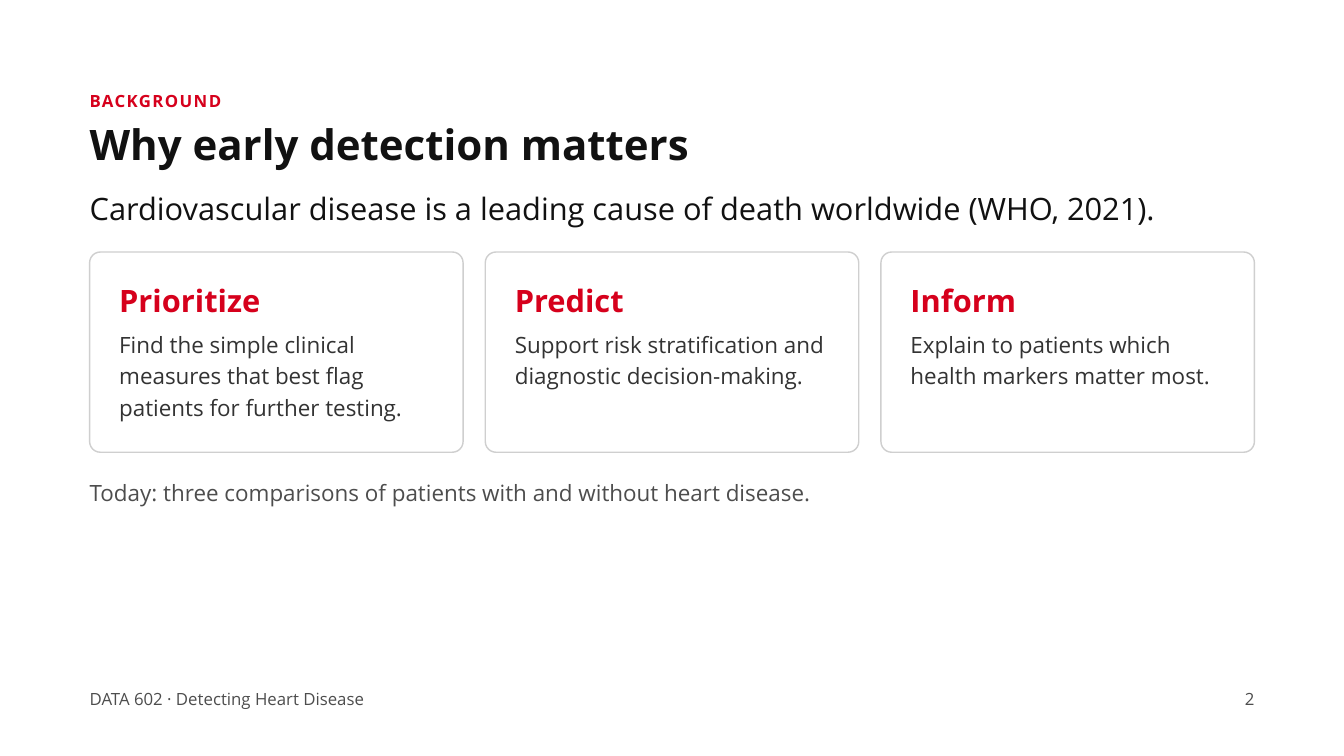
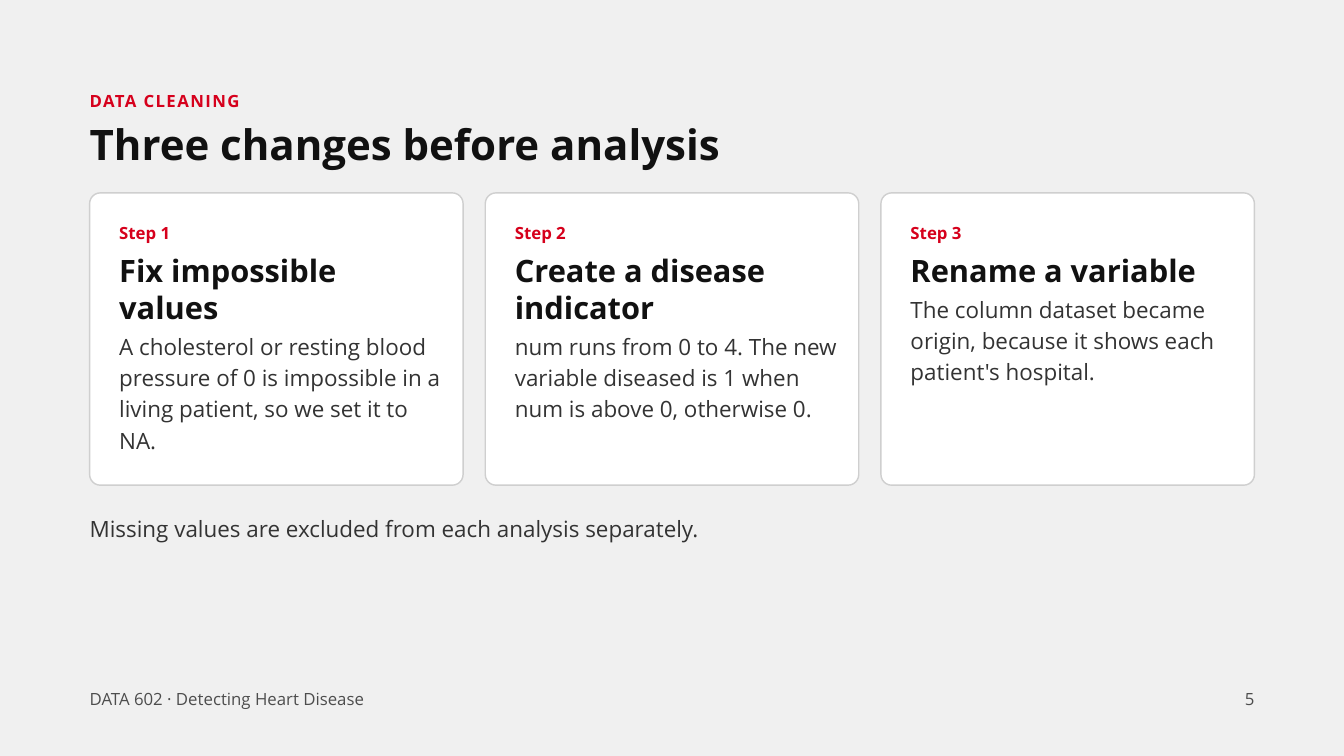
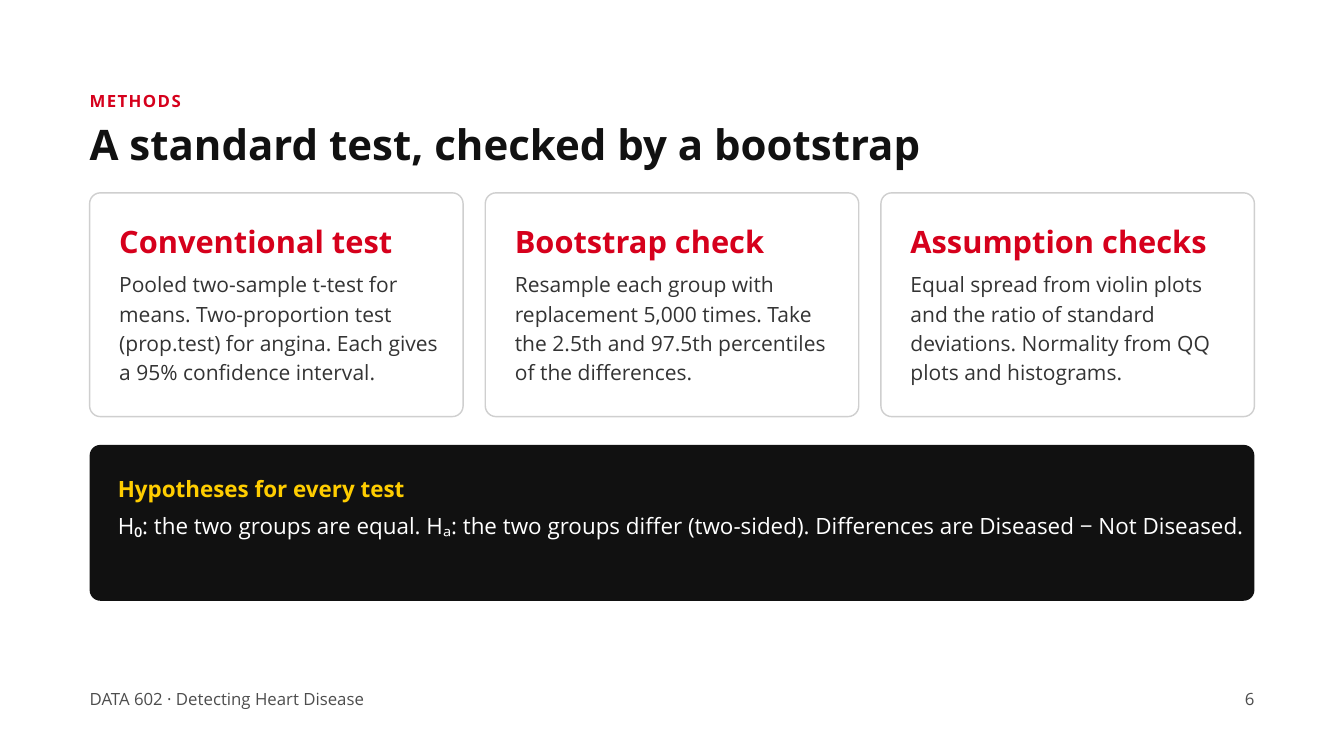
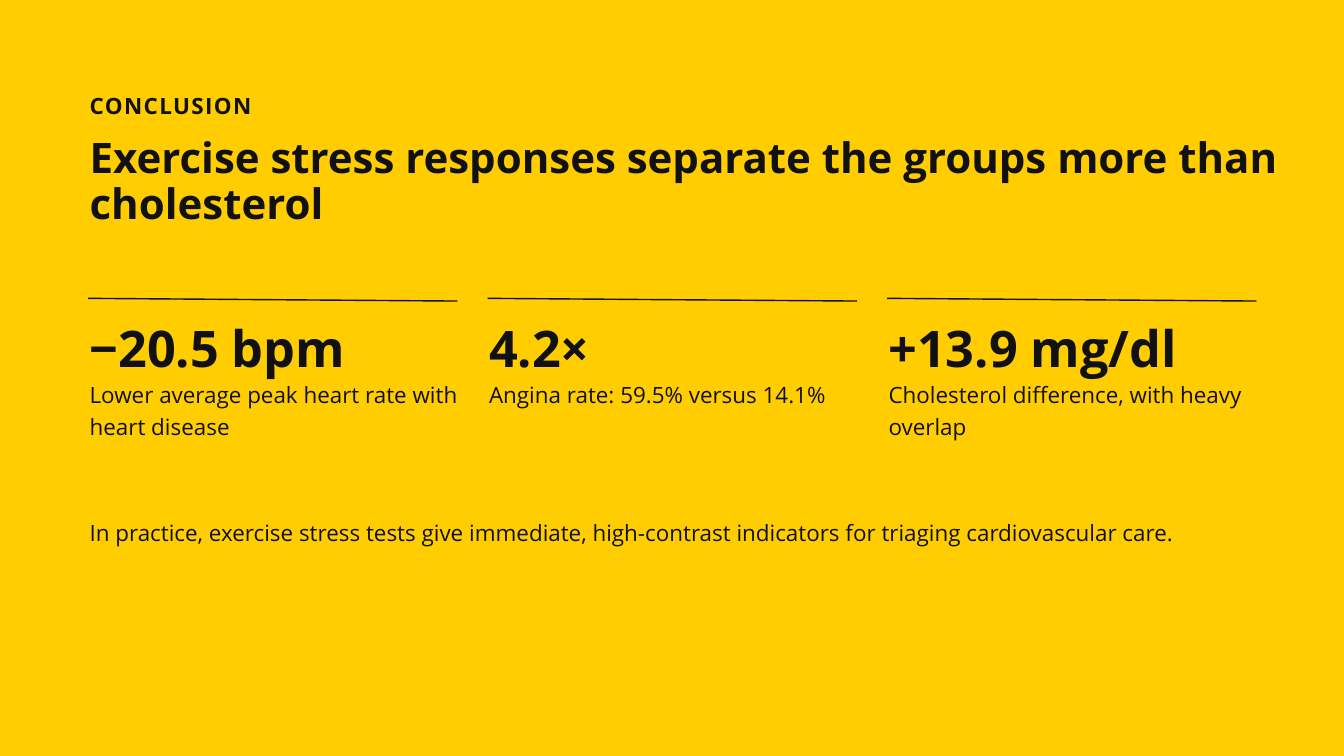
from dataclasses import dataclass

from lxml import etree
from pptx import Presentation
from pptx.dml.color import RGBColor as Color
from pptx.enum.shapes import MSO_CONNECTOR as Link, MSO_SHAPE as Shape
from pptx.enum.text import MSO_ANCHOR as Anchor, MSO_AUTO_SIZE as Fit, PP_ALIGN as Align
from pptx.oxml.ns import qn
from pptx.util import Inches, Pt


@dataclass(frozen=True)
class Style:
    size: float
    lead: float
    bold: bool = False
    track: float = 0

    def height(self, rows):
        return (rows * self.lead + self.lead - 1.1) * self.size / 72


@dataclass(frozen=True)
class Box:
    x: float
    y: float
    w: float
    h: float = 0

    def columns(self, count, gap):
        wide = (self.w - (count - 1) * gap) / count
        return [Box(self.x + i * (wide + gap), self.y, wide, self.h) for i in range(count)]

    def inset(self, dx, dy, w):
        return Box(self.x + dx, self.y + dy, w)


class Theme:
    font = "Open Sans"
    red, gold, ink = "D6001C", "FFCD00", "111111"
    white, pale, edge = "FFFFFF", "F0F0F0", "CFCFCF"
    dark, gray = "333333", "4D4D4D"
    label = Style(18, 1.4, True, 1.5)
    over = Style(24, 1.4, True, 1.5)
    title = Style(45, 1.1, True)
    lead = Style(33, 1.2)
    head = Style(33, 1.2, True)
    step = Style(18, 1.4, True)
    body = Style(24, 1.4)
    strong = Style(24, 1.4, True)
    small = Style(22.5, 1.4)
    foot = Style(18, 1.4)
    figure = Style(54, 1.1, True)


WIDE, HIGH = 20, 11.25
LEFT = WIDE / 15
SPAN = WIDE - 2 * LEFT
TEXT = 17.85
GAP = 0.33
PAD = 0.44
ROUND = 0.16


def fill_text(shape, box, text, style, color, rows=1, align=Align.LEFT):
    shape.left, shape.top = Inches(box.x), Inches(box.y)
    shape.width, shape.height = Inches(box.w), Inches(style.height(rows))
    frame = shape.text_frame
    frame.text = text
    frame.word_wrap = True
    frame.auto_size = Fit.SHAPE_TO_FIT_TEXT
    frame.vertical_anchor = Anchor.TOP
    frame.margin_left = frame.margin_right = frame.margin_top = frame.margin_bottom = 0
    line = frame.paragraphs[0]
    line.alignment = align
    line.line_spacing = Pt(style.size * style.lead)
    for run in line.runs:
        font = run.font
        font.name, font.size, font.bold = Theme.font, Pt(style.size), style.bold
        font.color.rgb = Color.from_string(color)
        if style.track:
            font._element.set("spc", str(int(style.track * 100)))


def add_text(slide, box, *rest, **more):
    fill_text(slide.shapes.add_textbox(0, 0, 0, 0), box, *rest, **more)


def add_panel(slide, box, fill, edge=None):
    panel = slide.shapes.add_shape(
        Shape.ROUNDED_RECTANGLE, Inches(box.x), Inches(box.y), Inches(box.w), Inches(box.h))
    panel.adjustments[0] = ROUND / min(box.w, box.h)
    panel.shadow.inherit = False
    panel.fill.solid()
    panel.fill.fore_color.rgb = Color.from_string(fill)
    if edge:
        panel.line.color.rgb = Color.from_string(edge)
        panel.line.width = Pt(1.5)
    else:
        panel.line.fill.background()


def add_rule(slide, box):
    rule = slide.shapes.add_connector(
        Link.STRAIGHT, Inches(box.x - 0.02), Inches(box.y),
        Inches(box.x + box.w + 0.03), Inches(box.y + box.h))
    rule.line.color.rgb = Color.from_string(Theme.ink)
    rule.line.width = Pt(1.5)
    etree.SubElement(rule._element.spPr, qn("a:effectLst"))


def start(deck, back, label, title, style=Theme.label, color=Theme.red, top=1.82, rows=1):
    slide = deck.slides.add_slide(deck.slide_layouts[5])
    slide.background.fill.solid()
    slide.background.fill.fore_color.rgb = Color.from_string(back)
    add_text(slide, Box(LEFT, 1.3, TEXT), label, style, color)
    fill_text(slide.shapes.title, Box(LEFT, top, TEXT), title, Theme.title, Theme.ink, rows)
    return slide


def footer(slide, number):
    y = HIGH - 1.05
    add_text(slide, Box(LEFT, y, 12.88), "DATA 602 · Detecting Heart Disease", Theme.foot, Theme.gray)
    add_text(slide, Box(LEFT + SPAN - 2.17, y, 2.17), str(number), Theme.foot, Theme.gray,
             align=Align.RIGHT)


def topic_card(slide, box, head, body, rows, style):
    add_panel(slide, box, Theme.white, Theme.edge)
    wide = box.w - 0.73
    add_text(slide, box.inset(PAD, PAD, wide), head, Theme.head, Theme.red)
    add_text(slide, box.inset(PAD, 1.11, wide), body, style, Theme.dark, rows)


def step_card(slide, box, step, head, lines, body, rows):
    add_panel(slide, box, Theme.white, Theme.edge)
    wide = box.w - 0.73
    add_text(slide, box.inset(PAD, 0.4, wide), step, Theme.step, Theme.red)
    add_text(slide, box.inset(PAD, 0.87, wide), head, Theme.head, Theme.ink, lines)
    below = 0.87 + Theme.head.height(lines)
    add_text(slide, box.inset(PAD, below, wide), body, Theme.body, Theme.dark, rows)


def fact(slide, box, value, note, rows):
    add_rule(slide, box)
    wide = box.w + 0.17
    add_text(slide, box.inset(0, 0.36, wide), value, Theme.figure, Theme.ink)
    add_text(slide, box.inset(0, 1.17, wide), note, Theme.body, Theme.ink, rows)


def background(deck):
    slide = start(deck, Theme.white, "BACKGROUND", "Why early detection matters")
    add_text(slide, Box(LEFT, 2.83, TEXT),
             "Cardiovascular disease is a leading cause of death worldwide (WHO, 2021).",
             Theme.lead, Theme.ink)
    goals = [
        ("Prioritize", "Find the simple clinical measures that best flag patients for further testing.", 3),
        ("Predict", "Support risk stratification and diagnostic decision-making.", 2),
        ("Inform", "Explain to patients which health markers matter most.", 2),
    ]
    for box, goal in zip(Box(LEFT, 3.75, SPAN, 2.98).columns(3, GAP), goals):
        topic_card(slide, box, *goal, Theme.body)
    add_text(slide, Box(LEFT, 7.07, TEXT),
             "Today: three comparisons of patients with and without heart disease.",
             Theme.body, Theme.gray)
    footer(slide, 2)


def cleaning(deck):
    slide = start(deck, Theme.pale, "DATA CLEANING", "Three changes before analysis")
    steps = [
        ("Fix impossible values", 2,
         "A cholesterol or resting blood pressure of 0 is impossible in a living patient, so we set it to NA.", 4),
        ("Create a disease indicator", 2,
         "num runs from 0 to 4. The new variable diseased is 1 when num is above 0, otherwise 0.", 4),
        ("Rename a variable", 1,
         "The column dataset became origin, because it shows each patient's hospital.", 3),
    ]
    boxes = Box(LEFT, 2.87, SPAN, 4.35).columns(3, GAP)
    for i, (box, step) in enumerate(zip(boxes, steps), 1):
        step_card(slide, box, f"Step {i}", *step)
    add_text(slide, Box(LEFT, 7.6, TEXT),
             "Missing values are excluded from each analysis separately.", Theme.body, Theme.dark)
    footer(slide, 5)


def methods(deck):
    slide = start(deck, Theme.white, "METHODS", "A standard test, checked by a bootstrap")
    tests = [
        ("Conventional test",
         "Pooled two-sample t-test for means. Two-proportion test (prop.test) for angina. "
         "Each gives a 95% confidence interval."),
        ("Bootstrap check",
         "Resample each group with replacement 5,000 times. Take the 2.5th and 97.5th "
         "percentiles of the differences."),
        ("Assumption checks",
         "Equal spread from violin plots and the ratio of standard deviations. "
         "Normality from QQ plots and histograms."),
    ]
    for box, test in zip(Box(LEFT, 2.87, SPAN, 3.33).columns(3, GAP), tests):
        topic_card(slide, box, *test, 4, Theme.small)
    panel = Box(LEFT, 6.62, SPAN, 2.32)
    add_panel(slide, panel, Theme.ink)
    add_text(slide, panel.inset(0.42, 0.38, 17), "Hypotheses for every test", Theme.strong, Theme.gold)
    add_text(slide, panel.inset(0.42, 0.93, 17),
             "H₀: the two groups are equal. Hₐ: the two groups differ (two-sided). "
             "Differences are Diseased − Not Diseased.", Theme.body, Theme.white, 2)
    footer(slide, 6)


def conclusion(deck):
    slide = start(deck, Theme.gold, "CONCLUSION",
                  "Exercise stress responses separate the groups more than cholesterol",
                  Theme.over, Theme.ink, 2.02, 2)
    facts = [
        ("−20.5 bpm", "Lower average peak heart rate with heart disease", 2),
        ("4.2×", "Angina rate: 59.5% versus 14.1%", 1),
        ("+13.9 mg/dl", "Cholesterol difference, with heavy overlap", 2),
    ]
    for box, item in zip(Box(LEFT, 4.44, SPAN, 0.04).columns(3, 0.5), facts):
        fact(slide, box, *item)
    add_text(slide, Box(LEFT, 7.66, TEXT),
             "In practice, exercise stress tests give immediate, high-contrast indicators "
             "for triaging cardiovascular care.", Theme.body, Theme.ink)


def main():
    deck = Presentation()
    deck.slide_width, deck.slide_height = Inches(WIDE), Inches(HIGH)
    for build in (background, cleaning, methods, conclusion):
        build(deck)
    deck.save("out.pptx")


if __name__ == "__main__":
    main()
